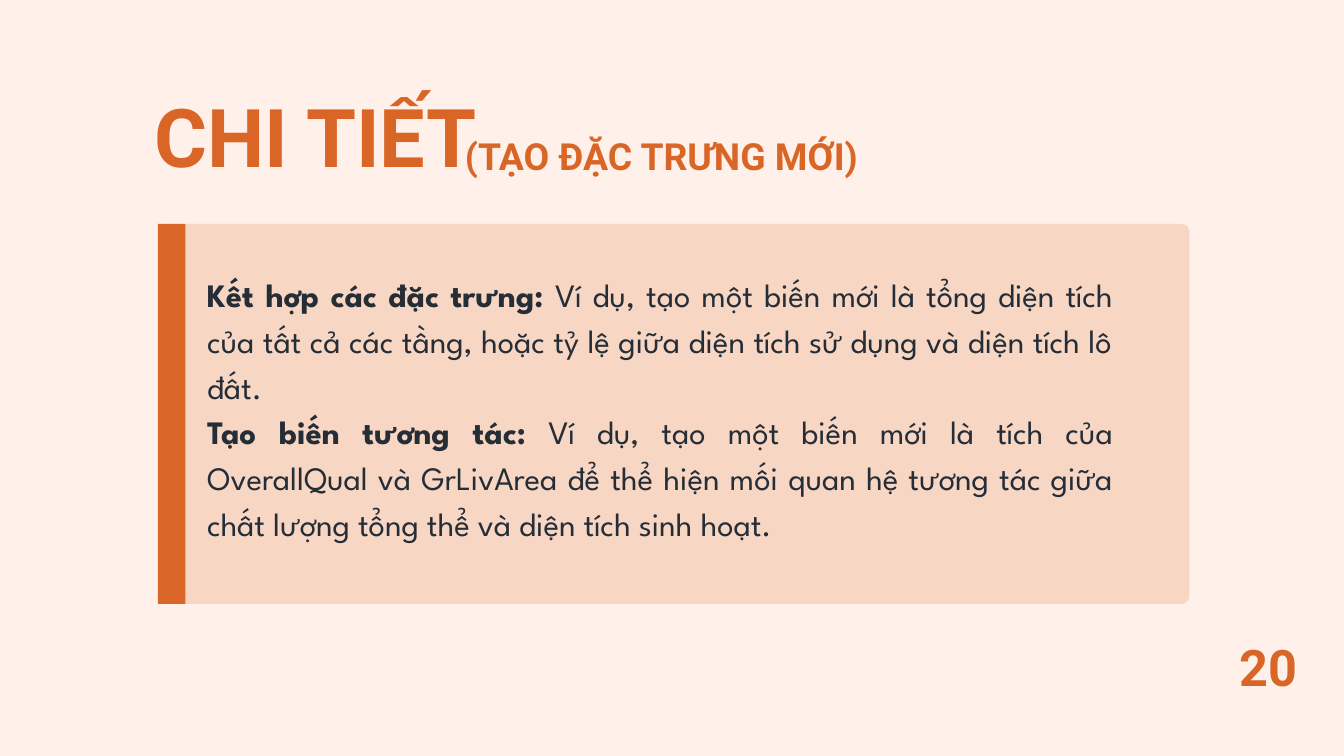
from lxml import etree
from pptx import Presentation
from pptx.dml.color import RGBColor
from pptx.enum.shapes import MSO_SHAPE
from pptx.enum.text import MSO_ANCHOR, MSO_AUTO_SIZE, PP_ALIGN
from pptx.oxml.ns import qn
from pptx.util import Pt

RECT, ROUND = MSO_SHAPE.RECTANGLE, MSO_SHAPE.ROUNDED_RECTANGLE
TOP, FIXED = MSO_ANCHOR.TOP, MSO_AUTO_SIZE.NONE
LEFT, CENTER, JUSTIFY = PP_ALIGN.LEFT, PP_ALIGN.CENTER, PP_ALIGN.JUSTIFY
COLORS = {"paper": "FFF0E9", "accent": "D96627", "ink": "252D37"}
HEAD, BODY = "Roboto", "League Spartan"
POINTS = [
    ("Kết hợp các đặc trưng:",
     " Ví dụ, tạo một biến mới là tổng diện tích của tất cả các tầng, "
     "hoặc tỷ lệ giữa diện tích sử dụng và diện tích lô đất."),
    ("Tạo biến tương tác:",
     " Ví dụ, tạo một biến mới là tích của OverallQual và GrLivArea để thể hiện "
     "mối quan hệ tương tác giữa chất lượng tổng thể và diện tích sinh hoạt."),
]


def tint(fill, name):
    """Give a fill a solid named colour."""
    fill.solid()
    fill.fore_color.rgb = RGBColor.from_string(COLORS[name])


def place(shape, box):
    """Move a shape to a box given in points."""
    shape.left, shape.top, shape.width, shape.height = map(Pt, box)


def write(shape, paras, font, size, lead, color, align):
    """Fill a shape with paragraphs of (text, bold) runs."""
    frame = shape.text_frame
    frame.word_wrap = True
    frame.auto_size = FIXED
    frame.vertical_anchor = TOP
    frame.margin_left = frame.margin_right = 0
    frame.margin_top = frame.margin_bottom = 0
    for i, runs in enumerate(paras):
        para = frame.add_paragraph() if i else frame.paragraphs[0]
        props = para._p.get_or_add_pPr()
        props.set("marL", "0")
        props.set("indent", "0")
        etree.SubElement(props, qn("a:buNone"))
        para.alignment = align
        para.line_spacing = Pt(lead)
        para.space_before = Pt(0)
        for text, bold in runs:
            run = para.add_run()
            run.text = text
            run.font.name = font
            run.font.size = Pt(size)
            run.font.bold = bold
            tint(run.font.fill, color)


def block(slide, kind, box):
    """Add a plain accent shape without line or shadow."""
    shape = slide.shapes.add_shape(kind, *map(Pt, box))
    shape.shadow.inherit = False
    shape.line.fill.background()
    tint(shape.fill, "accent")
    return shape


def header(slide, box):
    """Place the title and the smaller subtitle beside it."""
    x, y, w, h = box
    title = slide.shapes.title
    place(title, (x, y, 367, h))
    write(title, [[("CHI TIẾT", True)]], HEAD, 86.8, 69.5, "accent", LEFT)
    left = x + 332.6
    sub = slide.shapes.add_textbox(*map(Pt, (left, y + 31, x + w - left, 36)))
    write(sub, [[("(TẠO ĐẶC TRƯNG MỚI)", True)]], HEAD, 40, 32, "accent", LEFT)


def panel(slide, box):
    """Place the pale card, its side bar and the body text."""
    x, y, w, h = box
    card = block(slide, ROUND, (x + 8, y, w - 8, h))
    card.adjustments[0] = 0.02
    shade = card.fill._xPr.find(".//" + qn("a:srgbClr"))
    etree.SubElement(shade, qn("a:alpha")).set("val", "19000")
    block(slide, RECT, (x, y, 29.5, h))
    body = slide.placeholders[1]
    place(body, (x + 52.6, y + 47.5, 971.3, 290))
    tree = slide.shapes._spTree
    tree.append(body._element)
    paras = [[(lead, True), (rest, False)] for lead, rest in POINTS]
    write(body, paras, BODY, 35, 49, "ink", JUSTIFY)


def folio(slide, box):
    """Place the page number."""
    label = slide.shapes.add_textbox(*map(Pt, box))
    write(label, [[("20", True)]], HEAD, 54, 43.2, "accent", CENTER)


def main():
    """Build and save the slide."""
    deck = Presentation()
    deck.slide_width, deck.slide_height = Pt(1440), Pt(810)
    slide = deck.slides.add_slide(deck.slide_layouts[1])
    tint(slide.background.fill, "paper")
    header(slide, (165.6, 127.4, 836.6, 78.5))
    panel(slide, (169.2, 240, 1105.2, 407))
    folio(slide, (1316.9, 703.4, 83.5, 49.7))
    deck.save("out.pptx")


if __name__ == "__main__":
    main()
